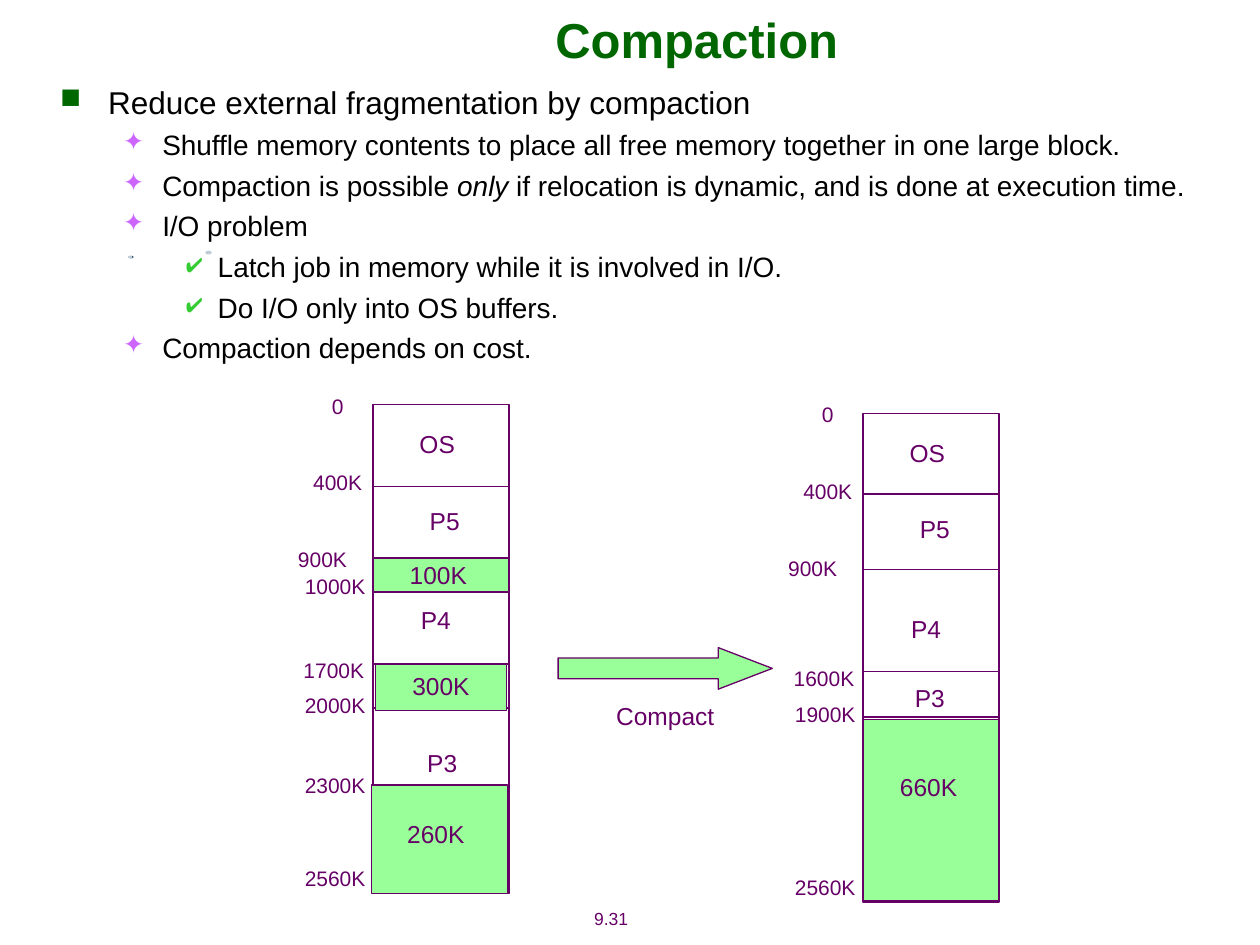
"""Build a slide on memory compaction with before and after memory maps."""
from lxml.etree import SubElement
from pptx import Presentation
from pptx.dml.color import RGBColor
from pptx.enum.shapes import MSO_CONNECTOR, MSO_SHAPE
from pptx.enum.text import MSO_ANCHOR, PP_ALIGN
from pptx.oxml.ns import qn
from pptx.util import Inches, Pt

BLACK = RGBColor(0x00, 0x00, 0x00)
WHITE = RGBColor(0xFF, 0xFF, 0xFF)
DARK_GREEN = RGBColor(0x00, 0x66, 0x00)
FREE_GREEN = RGBColor(0x99, 0xFF, 0x99)
PURPLE = RGBColor(0x66, 0x00, 0x66)
NAVY = RGBColor(0x28, 0x4C, 0x70)
PALE_BLUE = RGBColor(0xBF, 0xCC, 0xD8)
FONT = "Arial"

LEVELS = [
    {"bullet": "■", "color": "006600", "margin": 0.38, "hang": 0.38, "size": 18},
    {"bullet": "✦", "color": "CC66FF", "margin": 0.81, "hang": 0.31, "size": 16},
    {"bullet": "✔", "color": "33CC33", "margin": 1.25, "hang": 0.25, "size": 16},
]
POINTS = [
    (0, ["Reduce external fragmentation by compaction"]),
    (1, ["Shuffle memory contents to place all free memory together in one large block."]),
    (1, ["Compaction is possible ", "only", " if relocation is dynamic, and is done at execution time."]),
    (1, ["I/O problem"]),
    (2, ["Latch job in memory while it is involved in I/O."]),
    (2, ["Do I/O only into OS buffers."]),
    (1, ["Compaction depends on cost."]),
]
SPECKS = [
    (1.02, 2.03, 0.04, 0.02, NAVY),
    (1.02, 2.03, 0.03, 0.02, PALE_BLUE),
    (1.63, 1.99, 0.05, 0.03, PALE_BLUE),
]

MEMORY_WIDTH, MEMORY_HEIGHT = 1.08, 3.88
SHARED_JOBS = [("OS", 0.51, 0.31), ("P5", 0.57, 0.92), ("P4", 0.5, 1.71)]
SHARED_ADDRESSES = [("0", -0.28, 0.01), ("400K", -0.28, 0.62),
                    ("900K", -0.4, 1.23), ("2560K", -0.3, 3.76)]
MEMORIES = [
    {
        "origin": (2.96, 3.21),
        "borders": [0.65, 1.24, 1.47, 2.06, 2.41, 3.04],
        "free": [(0, 1.22, 1.08, 0.27), (0.02, 2.06, 1.04, 0.37), (-0.01, 3.02, 1.08, 0.86)],
        "jobs": [("P3", 0.55, 2.84), ("100K", 0.52, 1.35), ("300K", 0.54, 2.23), ("260K", 0.5, 3.41)],
        "addresses": [("1000K", -0.3, 1.44), ("1700K", -0.31, 2.11),
                      ("2000K", -0.3, 2.39), ("2300K", -0.3, 3.02)],
    },
    {
        "origin": (6.85, 3.28),
        "borders": [0.64, 1.24, 2.05, 2.41],
        "free": [(0, 2.43, 1.08, 1.44)],
        "jobs": [("P3", 0.53, 2.26), ("660K", 0.52, 2.96)],
        "addresses": [("1600K", -0.31, 2.1), ("1900K", -0.3, 2.39)],
    },
]


def style_font(font, size, color, bold=False):
    font.name = FONT
    font.size = Pt(size)
    font.color.rgb = color
    font.bold = bold


def add_figure(slide, kind, left, top, width, height, fill, outline=None):
    shape = slide.shapes.add_shape(kind, Inches(left), Inches(top), Inches(width), Inches(height))
    shape.shadow.inherit = False
    shape.fill.solid()
    shape.fill.fore_color.rgb = fill
    if outline is None:
        shape.line.fill.background()
    else:
        shape.line.color.rgb = outline
        shape.line.width = Pt(0.75)
    return shape


def add_border(slide, left, right, height):
    line = slide.shapes.add_connector(
        MSO_CONNECTOR.STRAIGHT, Inches(left), Inches(height), Inches(right), Inches(height))
    line.line.color.rgb = PURPLE
    line.line.width = Pt(0.75)
    SubElement(line._element.spPr, qn("a:effectLst"))


def add_label(slide, text, center_x, center_y, size, width=1.0, height=0.3, color=PURPLE, bold=False):
    box = slide.shapes.add_textbox(
        Inches(center_x - width / 2), Inches(center_y - height / 2), Inches(width), Inches(height))
    frame = box.text_frame
    frame.word_wrap = False
    frame.vertical_anchor = MSO_ANCHOR.MIDDLE
    para = frame.paragraphs[0]
    para.text = text
    para.alignment = PP_ALIGN.CENTER
    style_font(para.font, size, color, bold)


def add_bullet(para, level):
    properties = para._p.get_or_add_pPr()
    properties.set("marL", str(Inches(level["margin"])))
    properties.set("indent", str(-Inches(level["hang"])))
    color = SubElement(properties, qn("a:buClr"))
    SubElement(color, qn("a:srgbClr"), val=level["color"])
    SubElement(properties, qn("a:buSzPct"), val="90000")
    SubElement(properties, qn("a:buChar"), char=level["bullet"])


def add_points(slide):
    box = slide.shapes.add_textbox(Inches(0.38), Inches(0.61), Inches(9.2), Inches(2.37))
    frame = box.text_frame
    frame.word_wrap = True
    for index, (depth, pieces) in enumerate(POINTS):
        para = frame.add_paragraph() if index else frame.paragraphs[0]
        para.level = depth
        if index:
            para.space_before = Pt(4)
        add_bullet(para, LEVELS[depth])
        style_font(para.font, LEVELS[depth]["size"], BLACK)
        for piece in pieces:
            span = para.add_run()
            span.text = piece
            if piece == "only":
                span.font.italic = True


def add_memory(slide, memory):
    left, top = memory["origin"]
    add_figure(slide, MSO_SHAPE.RECTANGLE, left, top, MEMORY_WIDTH, MEMORY_HEIGHT, WHITE, PURPLE)
    for offset in memory["borders"]:
        add_border(slide, left - 0.01, left + MEMORY_WIDTH, top + offset)
    for x, y, width, height in memory["free"]:
        add_figure(slide, MSO_SHAPE.RECTANGLE, left + x, top + y, width, height, FREE_GREEN, PURPLE)
    for text, x, y in SHARED_JOBS + memory["jobs"]:
        add_label(slide, text, left + x, top + y, 14, height=0.34)
    for text, x, y in SHARED_ADDRESSES + memory["addresses"]:
        add_label(slide, text, left + x, top + y, 12, width=0.77)


def main():
    deck = Presentation()
    deck.slide_width, deck.slide_height = Inches(10), Inches(7.5)
    slide = deck.slides.add_slide(deck.slide_layouts[6])
    slide.background.fill.solid()
    slide.background.fill.fore_color.rgb = WHITE

    add_label(slide, "9.31", 4.85, 7.29, 10, width=0.94)
    for left, top, width, height, color in SPECKS:
        add_figure(slide, MSO_SHAPE.OVAL, left, top, width, height, color)
    add_label(slide, "Compaction", 5.53, 0.31, 28, width=8.5, height=0.61, color=DARK_GREEN, bold=True)
    add_points(slide)
    for memory in MEMORIES:
        add_memory(slide, memory)
    arrow = add_figure(slide, MSO_SHAPE.RIGHT_ARROW, 4.43, 5.14, 1.7, 0.33, FREE_GREEN, PURPLE)
    arrow.adjustments[0], arrow.adjustments[1] = 0.5, 1.3
    add_label(slide, "Compact", 5.28, 5.68, 14, height=0.34)
    deck.save("out.pptx")


if __name__ == "__main__":
    main()
